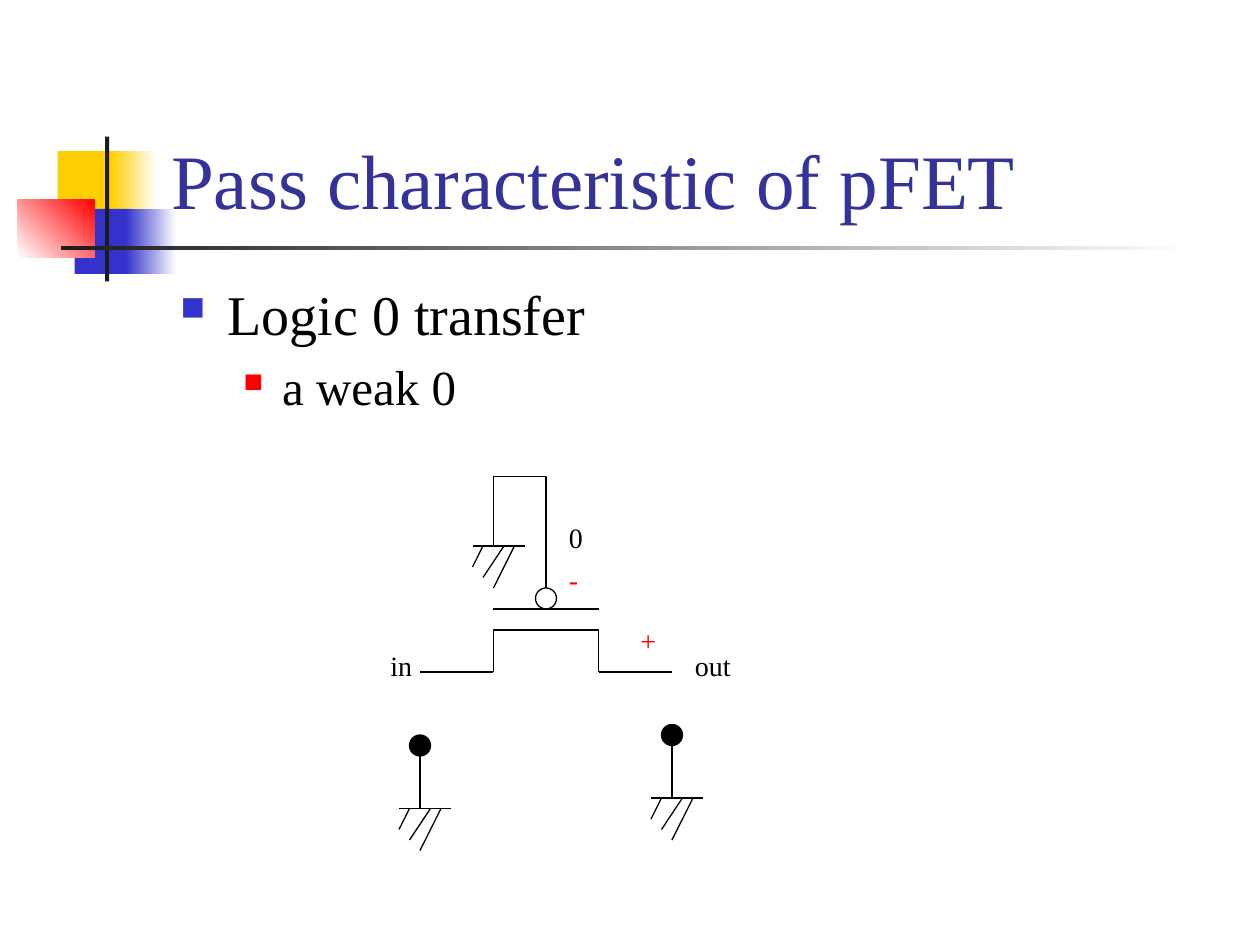
from typing import NamedTuple, Optional

from lxml.etree import SubElement
from pptx import Presentation
from pptx.dml.color import RGBColor
from pptx.enum.shapes import MSO_CONNECTOR as Connector, MSO_SHAPE as Shape
from pptx.enum.text import MSO_ANCHOR as Anchor, MSO_AUTO_SIZE as AutoSize, PP_ALIGN as Align
from pptx.oxml.ns import qn
from pptx.util import Emu, Pt

PX_PER_INCH = 120
FONT = "Times New Roman"
BLACK, WHITE, RED, BLUE, YELLOW = "000000", "FFFFFF", "FF0000", "3333CC", "FFCF01"
NAVY, CHARCOAL = "333399", "1C1C1C"


class Block(NamedTuple):
    left: int
    top: int
    width: int
    height: int
    color: str
    end_color: Optional[str] = None
    angle: int = 0


class Wire(NamedTuple):
    x1: int
    y1: int
    x2: int
    y2: int


class Label(NamedTuple):
    text: str
    left: int
    top: int
    width: int
    color: str = BLACK


class Bullet(NamedTuple):
    text: str
    size: int
    indent: int
    hanging: int
    color: str
    percent: int
    space_before: float


DECORATION = [
    Block(55, 144, 58, 62, YELLOW),
    Block(106, 144, 43, 62, YELLOW, WHITE),
    Block(71, 199, 55, 62, BLUE),
    Block(120, 199, 48, 62, BLUE, WHITE),
    Block(17, 190, 73, 55, WHITE, RED, 45),
    Block(100, 130, 4, 138, CHARCOAL),
    Block(58, 234, 1080, 4, CHARCOAL, WHITE),
]
BULLETS = [
    Bullet("Logic 0 transfer", 32, 45, 45, BLUE, 60, 0),
    Bullet("a weak 0", 28, 97, 37, RED, 55, 5.6),
]
TRANSISTOR = [
    Wire(470, 580, 570, 580),
    Wire(470, 600, 570, 600),
    Wire(470, 600, 470, 640),
    Wire(570, 600, 570, 640),
    Wire(470, 640, 400, 640),
    Wire(640, 640, 570, 640),
    Wire(520, 560, 520, 530),
]
# Relative to the top of the stem
GROUND = [
    Wire(0, 0, 0, 60),
    Wire(-20, 60, 30, 60),
    Wire(-10, 60, -20, 80),
    Wire(10, 60, -10, 90),
    Wire(20, 60, 0, 100),
]
GATE_GROUND = (470, 460)
TERMINAL_GROUNDS = [(400, 710), (640, 700)]
LABELS = [
    Label("0", 530, 490, 37),
    Label("in", 360, 612, 45),
    Label("out", 650, 612, 59),
    Label("+", 598, 588, 39, RED),
    Label("-", 530, 530, 34, RED),
]


def px(length: int) -> Emu:
    return Emu(length * 914400 // PX_PER_INCH)


def rgb(color: str) -> RGBColor:
    return RGBColor.from_string(color)


def style_font(paragraph, size: int, color: str) -> None:
    font = paragraph.font
    font.name, font.size = FONT, Pt(size)
    font.color.rgb = rgb(color)


def draw_block(slide, block: Block) -> None:
    shape = slide.shapes.add_shape(Shape.RECTANGLE, *map(px, block[:4]))
    shape.shadow.inherit = False
    shape.line.fill.background()
    if block.end_color is None:
        shape.fill.solid()
        shape.fill.fore_color.rgb = rgb(block.color)
        return
    shape.fill.gradient()
    shape.fill.gradient_angle = block.angle
    for stop, color in zip(shape.fill.gradient_stops, (block.color, block.end_color)):
        stop.color.rgb = rgb(color)


def draw_wire(slide, wire: Wire, kind=Connector.STRAIGHT):
    connector = slide.shapes.add_connector(kind, *map(px, wire))
    connector.line.color.rgb = rgb(BLACK)
    connector.line.width = Pt(0.75)
    SubElement(connector._element.spPr, qn("a:effectLst"))
    return connector


def draw_gate_loop(slide) -> None:
    """Draw the elbow from the gate up and over to its ground."""
    properties = draw_wire(slide, Wire(530, 470, 460, 520), Connector.ELBOW)._element.spPr
    properties.find(qn("a:xfrm")).set("rot", "5400000")
    geometry = properties.find(qn("a:prstGeom"))
    adjustments = geometry.find(qn("a:avLst"))
    if adjustments is None:
        adjustments = SubElement(geometry, qn("a:avLst"))
    SubElement(adjustments, qn("a:gd"), name="adj1", fmla="val 108900")


def draw_ground(slide, x: int, y: int) -> None:
    for wire in GROUND:
        draw_wire(slide, Wire(x + wire.x1, y + wire.y1, x + wire.x2, y + wire.y2))


def draw_dot(slide, x: int, y: int, filled: bool) -> None:
    """Draw a circle centred on the point."""
    dot = slide.shapes.add_shape(Shape.OVAL, px(x - 10), px(y - 10), px(20), px(20))
    dot.shadow.inherit = False
    dot.line.color.rgb = rgb(BLACK)
    dot.line.width = Pt(0.75)
    if filled:
        dot.fill.solid()
        dot.fill.fore_color.rgb = rgb(BLACK)
    else:
        dot.fill.background()


def draw_label(slide, label: Label) -> None:
    box = slide.shapes.add_textbox(px(label.left), px(label.top), px(label.width), px(44))
    frame = box.text_frame
    frame.word_wrap = False
    frame.auto_size = AutoSize.SHAPE_TO_FIT_TEXT
    frame.text = label.text
    style_font(frame.paragraphs[0], 16, label.color)


def draw_title(slide, text: str) -> None:
    title = slide.shapes.title
    title.left, title.top, title.width, title.height = map(px, (151, 28, 1022, 192))
    frame = title.text_frame
    frame.text = text
    frame.vertical_anchor = Anchor.BOTTOM
    frame.auto_size = AutoSize.NONE
    frame.paragraphs[0].alignment = Align.LEFT
    style_font(frame.paragraphs[0], 44, NAVY)


def draw_bullets(slide, bullets: list[Bullet]) -> None:
    frame = slide.shapes.add_textbox(px(160), px(260), px(1020), px(166)).text_frame
    frame.word_wrap = True
    for index, bullet in enumerate(bullets):
        paragraph = frame.add_paragraph() if index else frame.paragraphs[0]
        paragraph.text = bullet.text
        paragraph.level = index
        paragraph.space_before = Pt(bullet.space_before)
        properties = paragraph._p.get_or_add_pPr()
        properties.set("marL", str(px(bullet.indent)))
        properties.set("indent", str(-px(bullet.hanging)))
        SubElement(SubElement(properties, qn("a:buClr")), qn("a:srgbClr"), val=bullet.color)
        SubElement(properties, qn("a:buSzPct"), val=str(bullet.percent * 1000))
        SubElement(properties, qn("a:buChar"), char="■")
        style_font(paragraph, bullet.size, BLACK)


def main() -> None:
    presentation = Presentation()
    presentation.slide_width, presentation.slide_height = px(1200), px(900)
    slide = presentation.slides.add_slide(presentation.slide_layouts[5])
    for block in DECORATION:
        draw_block(slide, block)
    draw_title(slide, "Pass characteristic of pFET")
    draw_bullets(slide, BULLETS)
    for wire in TRANSISTOR:
        draw_wire(slide, wire)
    for x, y in TERMINAL_GROUNDS:
        draw_dot(slide, x, y, filled=True)
        draw_ground(slide, x, y)
    draw_dot(slide, 520, 570, filled=False)
    draw_ground(slide, *GATE_GROUND)
    draw_gate_loop(slide)
    for label in LABELS:
        draw_label(slide, label)
    presentation.save("out.pptx")


if __name__ == "__main__":
    main()
